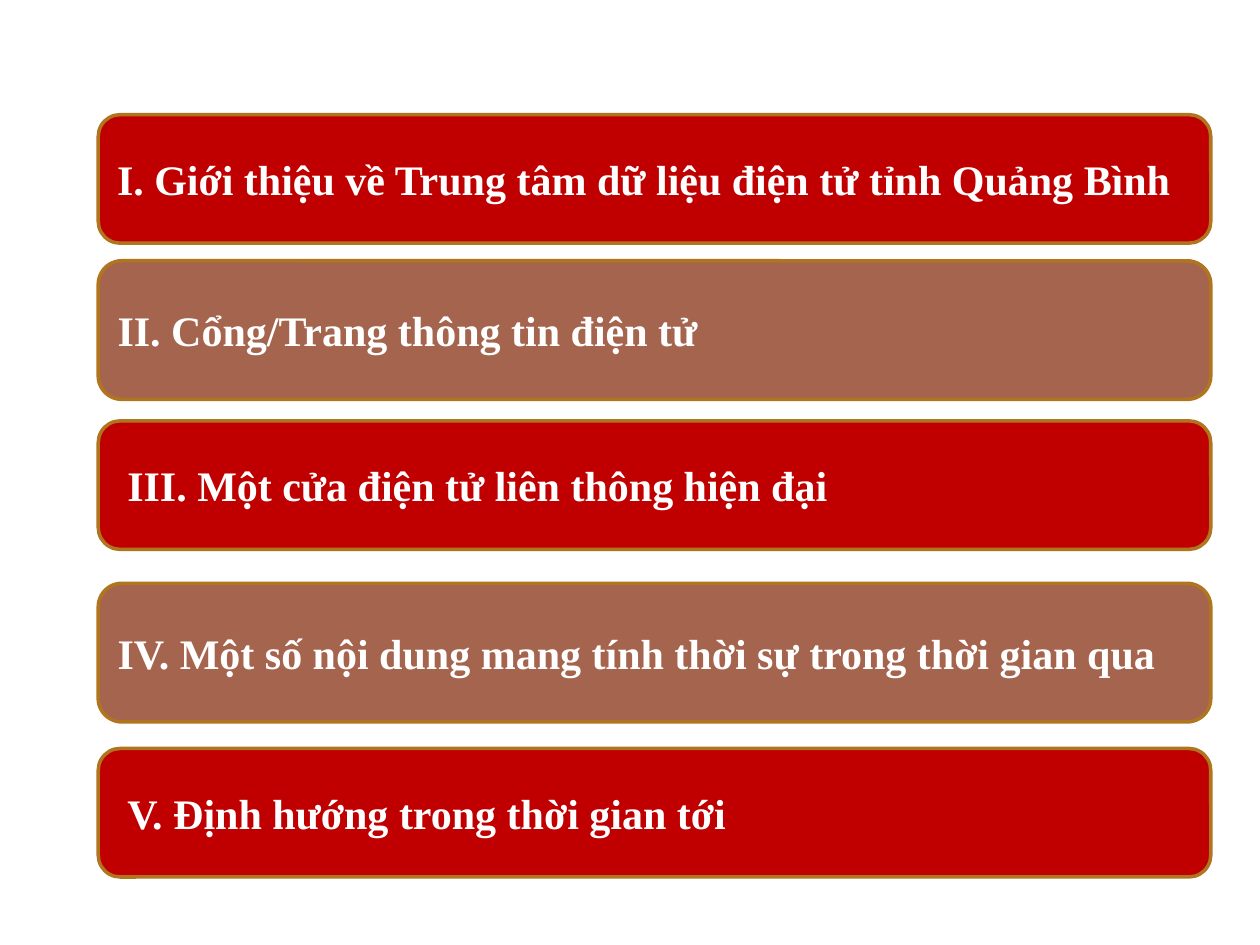
import pptx
import pptx.dml.color
import pptx.enum.shapes
import pptx.enum.text
import pptx.util

SLIDE_WIDTH, SLIDE_HEIGHT = 10, 7.5
LEFT_SHARE, WIDTH_SHARE = 0.78 / SLIDE_WIDTH, 8.83 / SLIDE_WIDTH
RED, BROWN, GOLD, WHITE = "C00000", "A5644E", "B0761F", "FFFFFF"
HEADING_FORMAT = {"name": "Times New Roman", "size": pptx.util.Pt(24), "bold": True}
BAR_STYLES = [(RED, 1.02), (BROWN, 1.1)]
INDENT = 0.08
SECTIONS = [
    ("I. Giới thiệu về Trung tâm dữ liệu điện tử tỉnh Quảng Bình", 0.91, 0),
    ("II. Cổng/Trang thông tin điện tử", 2.07, 0),
    ("III. Một cửa điện tử liên thông hiện đại", 3.34, INDENT),
    ("IV. Một số nội dung mang tính thời sự trong thời gian qua", 4.63, 0),
    ("V. Định hướng trong thời gian tới", 5.94, INDENT),
]


def color(hex_value):
    """Return the RGB colour for a hex string."""
    return pptx.dml.color.RGBColor.from_string(hex_value)


def set_values(target, values):
    """Set each attribute named in a dict of format values."""
    for name, value in values.items():
        setattr(target, name, value)


def add_section_bar(slide, box, heading, fill, indent):
    """Place one rounded agenda bar with its heading in the given box."""
    bar = slide.shapes.add_shape(
        pptx.enum.shapes.MSO_SHAPE.ROUNDED_RECTANGLE, *map(pptx.util.Inches, box)
    )
    bar.shadow.inherit = False
    bar.adjustments[0] = 0.17
    bar.fill.solid()
    bar.fill.fore_color.rgb = color(fill)
    bar.line.color.rgb = color(GOLD)
    bar.line.width = pptx.util.Pt(2)
    set_values(bar.text_frame, {
        "word_wrap": True,
        "vertical_anchor": pptx.enum.text.MSO_ANCHOR.MIDDLE,
        "margin_left": pptx.util.Inches(0.1 + indent),
        "margin_right": pptx.util.Inches(0.1),
        "margin_top": pptx.util.Inches(0.05),
        "margin_bottom": pptx.util.Inches(0.05),
    })
    paragraph = bar.text_frame.paragraphs[0]
    paragraph.alignment = pptx.enum.text.PP_ALIGN.LEFT
    run = paragraph.add_run()
    run.text = heading
    set_values(run.font, HEADING_FORMAT)
    run.font.color.rgb = color(WHITE)


def add_agenda(slide, left, width):
    """Stack the section bars in a column, alternating their styles."""
    for index, (heading, top, indent) in enumerate(SECTIONS):
        fill, height = BAR_STYLES[index % len(BAR_STYLES)]
        add_section_bar(slide, (left, top, width, height), heading, fill, indent)


def main():
    """Build the agenda slide and save it."""
    deck = pptx.Presentation()
    deck.slide_width = pptx.util.Inches(SLIDE_WIDTH)
    deck.slide_height = pptx.util.Inches(SLIDE_HEIGHT)
    slide = deck.slides.add_slide(deck.slide_layouts[6])
    add_agenda(slide, LEFT_SHARE * SLIDE_WIDTH, WIDTH_SHARE * SLIDE_WIDTH)
    deck.save("out.pptx")


if __name__ == "__main__":
    main()
